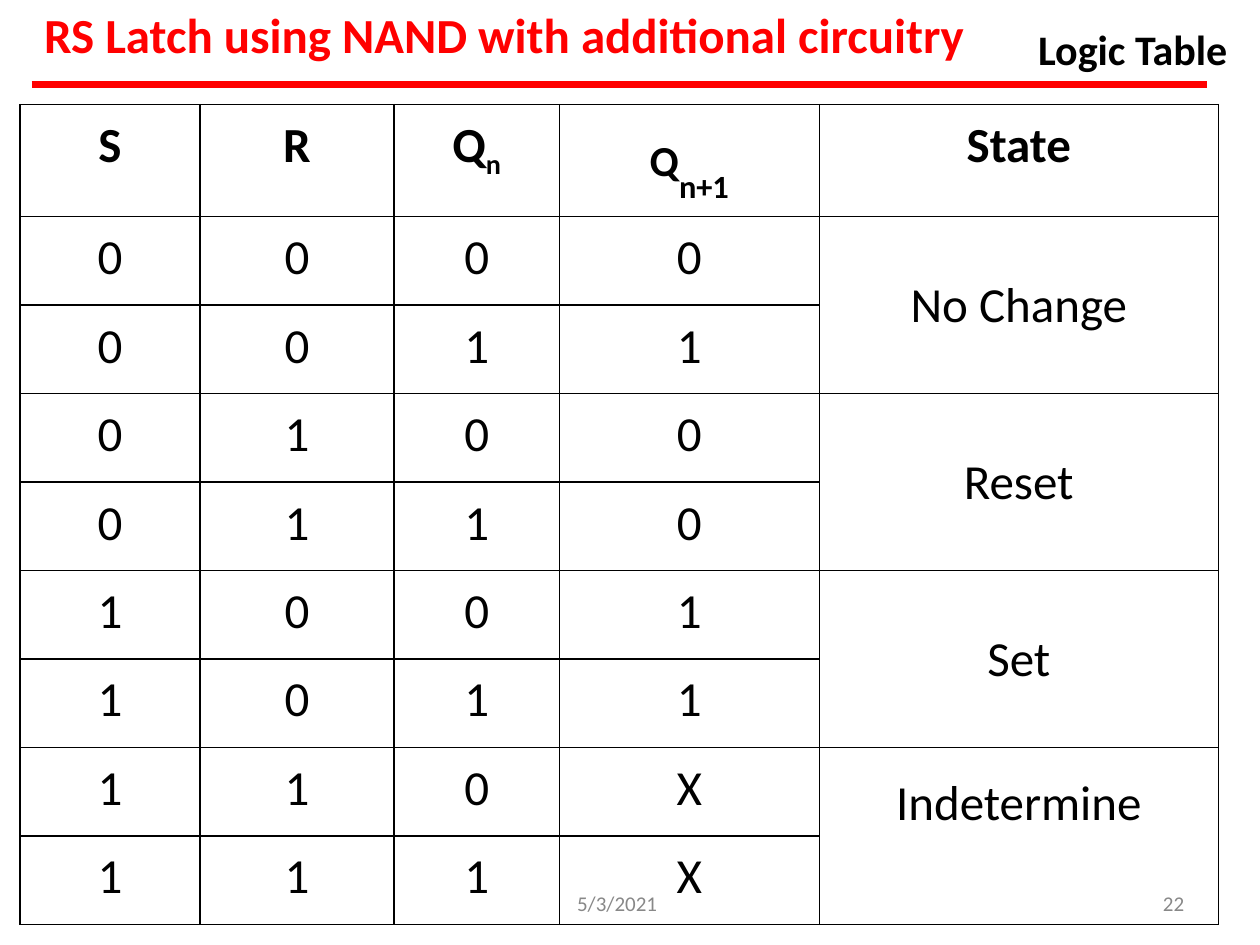
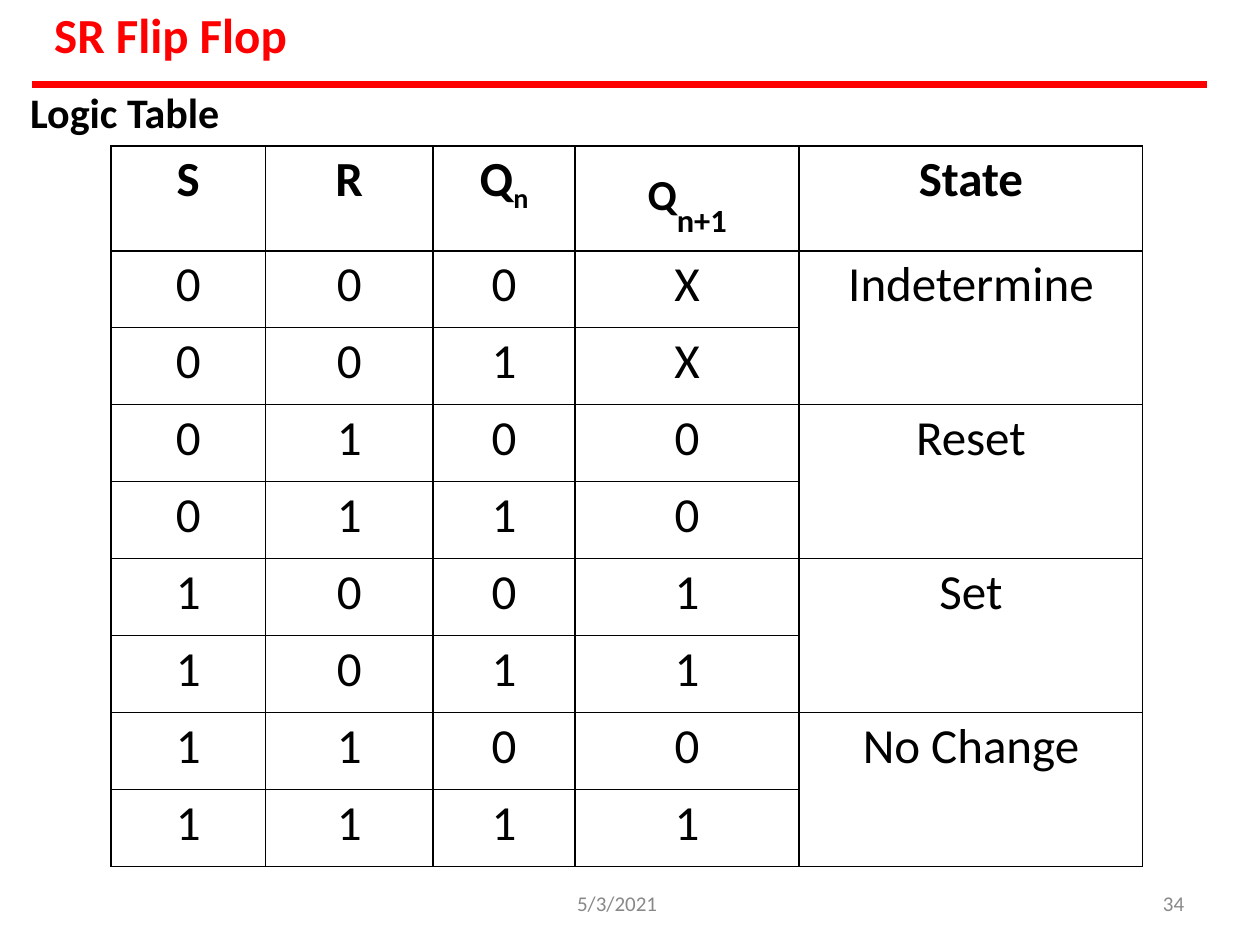
from dataclasses import dataclass
from itertools import product
from lxml.etree import SubElement
from pptx import Presentation
from pptx.dml.color import RGBColor
from pptx.enum.shapes import MSO_CONNECTOR
from pptx.enum.text import PP_ALIGN
from pptx.oxml import parse_xml
from pptx.oxml.ns import nsdecls, qn
from pptx.util import Inches, Pt


@dataclass(frozen=True)
class Theme:
    """Colours and type sizes of the deck."""
    font: str = "Calibri"
    red: str = "FF0000"
    ink: str = "000000"
    grey: str = "888888"
    head: float = 28
    label: float = 24
    foot: float = 12
    sub: float = 27.8
    high: float = 42
    low: float = 18.5
    rule: float = 4
    edge: float = 1


@dataclass(frozen=True)
class Box:
    """An area on a grid of 100 columns by 75 rows."""
    left: float
    top: float
    width: float
    height: float

    def place(self):
        """Return the four lengths for a shape."""
        return [unit(n) for n in (self.left, self.top, self.width, self.height)]


THEME = Theme()
COLS, ROWS = 100, 75
SHARES = (0.15, 0.162, 0.138, 0.217, 0.333)
HEADS = ("S", "R", "Q", "Q", "State")
DATE = "5/3/2021"


def unit(n):
    """Turn grid units into a length."""
    return Inches(n / 10)


def add_run(para, text, size, color=THEME.ink, bold=False, base=0):
    """Add one styled run, raised or lowered by base percent."""
    run = para.add_run()
    run.text = text
    font = run.font
    font.name, font.size, font.bold = THEME.font, Pt(size), bold
    font.color.rgb = RGBColor.from_string(color)
    if base:
        run._r.get_or_add_rPr().set("baseline", str(base * 1000))


def add_text(slide, box, text, size, color, bold=False, left=0.1, top=0.1):
    """Place one line of text in a box."""
    frame = slide.shapes.add_textbox(*box.place()).text_frame
    frame.word_wrap = False
    frame.margin_left, frame.margin_top = unit(left), unit(top)
    frame.margin_right = frame.margin_bottom = 0
    add_run(frame.paragraphs[0], text, size, color, bold)


def add_head(slide, box, text):
    """Draw the title and the red rule below it."""
    add_text(slide, box, text, THEME.head, THEME.red, True)
    y = unit(6.7)
    line = slide.shapes.add_connector(
        MSO_CONNECTOR.STRAIGHT, unit(2.5), y, unit(95.8), y)
    line.line.color.rgb = RGBColor.from_string(THEME.red)
    line.line.width = Pt(THEME.rule)
    SubElement(line._element.spPr, qn("a:effectLst"))


def add_foot(slide, page):
    """Draw the date and the page number."""
    for left, width, text in ((45.6, 8.8, DATE), (92.1, 2.2, page)):
        add_text(slide, Box(left, 70.7, width, 1.9), text,
                 THEME.foot, THEME.grey, left=0.2, top=0)


def set_cell(cell, top):
    """Give a cell its edges and inset, and return its paragraph."""
    cell.fill.background()
    props = cell._tc.get_or_add_tcPr()
    for i, side in enumerate("LRTB"):
        props.insert(i, parse_xml(
            f'<a:ln{side} {nsdecls("a")} w="{Pt(THEME.edge)}"><a:solidFill>'
            f'<a:srgbClr val="{THEME.ink}"/></a:solidFill></a:ln{side}>'))
    cell.margin_left = cell.margin_right = cell.margin_bottom = 0
    cell.margin_top = unit(top)
    para = cell.text_frame.paragraphs[0]
    para.alignment = PP_ALIGN.CENTER
    return para


def fill_head(table, pad):
    """Write the heading row with its subscripts."""
    for i, text in enumerate(HEADS):
        para = set_cell(table.cell(0, i), pad + (i == 3))
        if i == 3:
            add_run(para, text, THEME.high, bold=True, base=30)
            add_run(para, "n+1", THEME.low, bold=True)
        else:
            add_run(para, text, THEME.head, bold=True)
        if i == 2:
            add_run(para, "n", THEME.sub, bold=True, base=-25)


def add_logic(slide, box, nexts, states, pad):
    """Draw a truth table; states pair a name with its top inset."""
    table = slide.shapes.add_table(9, 5, *box.place()).table
    table.first_row = table.horz_banding = False
    for col, share in zip(table.columns, SHARES):
        col.width = unit(box.width * share)
    for row in table.rows:
        row.height = unit(box.height / 9)
    fill_head(table, pad)
    for i, (bits, last) in enumerate(zip(product("01", repeat=3), nexts), 1):
        for j, text in enumerate((*bits, last)):
            add_run(set_cell(table.cell(i, j), pad), text, THEME.head)
    for i, (name, top) in enumerate(states):
        first, second = table.cell(2 * i + 1, 4), table.cell(2 * i + 2, 4)
        para = set_cell(first, top)
        set_cell(second, pad)
        first.merge(second)
        add_run(para, name, THEME.head)


def add_page(deck, title, head, label, box, nexts, states, pad, page):
    """Build one slide with a title, a logic table and a footer."""
    slide = deck.slides.add_slide(deck.slide_layouts[6])
    add_head(slide, head, title)
    add_logic(slide, box, nexts, states, pad)
    add_foot(slide, page)
    add_text(slide, label, "Logic Table", THEME.label, THEME.ink, True)


def main():
    """Build the deck and save it."""
    deck = Presentation()
    deck.slide_width, deck.slide_height = unit(COLS), unit(ROWS)
    add_page(deck, "RS Latch using NAND with additional circuitry",
             Box(3.4, 0.3, 73.6, 5), Box(82.3, 1.8, 15.4, 4.3),
             Box(1.6, 8.3, 95.1, 63.2), "010011XX",
             (("No Change", 4.7), ("Reset", 4.7), ("Set", 4.7),
              ("Indetermine", 2.1)), 0.9, "22")
    add_page(deck, "SR Flip Flop",
             Box(4.2, 0.3, 18.8, 5), Box(2.3, 6.8, 15.4, 4.3),
             Box(8.8, 11.6, 81.9, 55), "XX001101",
             (("Indetermine", 0.3), ("Reset", 0.3), ("Set", 0.3),
              ("No Change", 0.3)), 0.3, "34")
    deck.save("out.pptx")


if __name__ == "__main__":
    main()
